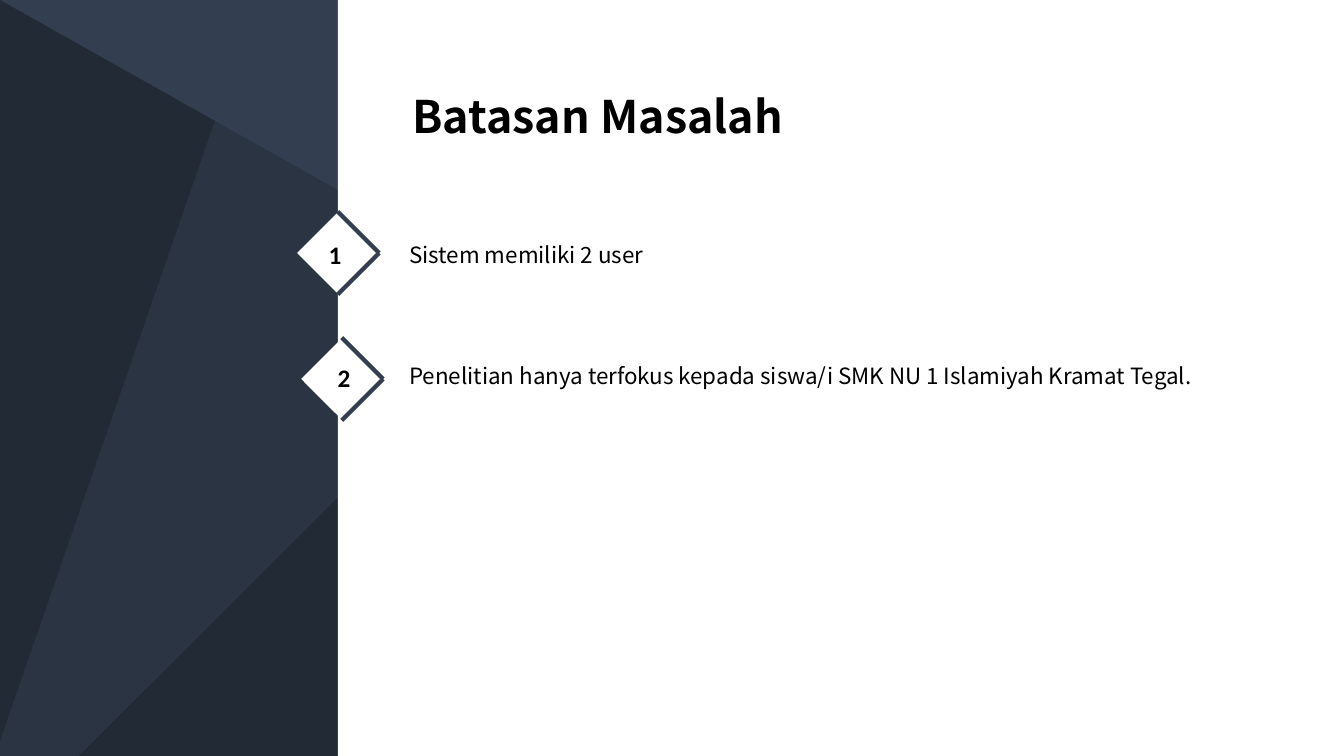
from pptx import Presentation
from pptx.dml.color import RGBColor
from pptx.enum.shapes import MSO_CONNECTOR, MSO_SHAPE
from pptx.enum.text import MSO_AUTO_SIZE
from pptx.oxml import parse_xml
from pptx.oxml.ns import nsdecls, qn
from pptx.util import Inches, Pt
from lxml.etree import SubElement

# Content
TITLE = "Batasan Masalah"
ITEMS = [  # number, text, text top, marker centre, number position
    ("1", "Sistem memiliki 2 user", 2.22, (3.35, 2.51), (3.16, 2.33)),
    ("2", "Penelitian hanya terfokus kepada siswa/i SMK NU 1 Islamiyah Kramat Tegal.",
     3.42, (3.39, 3.76), (3.25, 3.55)),
]

# Style and layout, in inches
WIDTH, HEIGHT = 13.33, 7.5
PANEL = 3.35
TEXT_LEFT, TEXT_WIDTH = 3.99, 8.25
SIDE, REACH = 0.57, 0.41
SLATE = RGBColor(0x33, 0x3F, 0x50)
NAVY = RGBColor(0x22, 0x2A, 0x35)
WHITE = RGBColor(0xFF, 0xFF, 0xFF)
BLACK = RGBColor(0, 0, 0)
SANS, DIGITS = "Noto Sans CJK SC", "Calibri"

prs = Presentation()
prs.slide_width, prs.slide_height = Inches(WIDTH), Inches(HEIGHT)
s = prs.slides.add_slide(prs.slide_layouts[6])
s.background.fill.solid()
s.background.fill.fore_color.rgb = SLATE


def add_block(shapes, kind, box, color, rotation=0, adj=None, alpha=None):
    sp = shapes.add_shape(kind, *map(Inches, box))
    sp.shadow.inherit = False
    sp.fill.solid()
    sp.fill.fore_color.rgb = color
    sp.line.fill.background()
    sp.rotation = rotation
    if adj is not None:
        sp.adjustments[0] = adj
    if alpha is not None:
        clr = sp.fill._xPr.find(qn("a:solidFill"))[0]
        SubElement(clr, qn("a:alpha"), val=str(alpha * 1000))
    return sp


def add_text(text, box, size, font=SANS, bold=False, spacing=None, insets=None):
    tf = s.shapes.add_textbox(*map(Inches, box)).text_frame
    tf.word_wrap = True
    tf.auto_size = MSO_AUTO_SIZE.SHAPE_TO_FIT_TEXT
    if insets:
        tf.margin_left = tf.margin_right = Inches(insets[0])
        tf.margin_top = tf.margin_bottom = Inches(insets[1])
    p = tf.paragraphs[0]
    if spacing:
        p.line_spacing = spacing
    r = p.add_run()
    r.text = text
    r.font.name, r.font.size, r.font.bold = font, Pt(size), bold
    r.font.color.rgb = BLACK


def add_marker(cx, cy):
    """White diamond with a slate edge on its right half."""
    shapes = s.shapes.add_group_shape().shapes
    add_block(shapes, MSO_SHAPE.RECTANGLE,
              (cx - SIDE / 2, cy - SIDE / 2, SIDE, SIDE), WHITE, rotation=45)
    corners = [(cx, cy - REACH), (cx + REACH, cy), (cx, cy + REACH)]
    for start, end in zip(corners, corners[1:]):
        c = shapes.add_connector(MSO_CONNECTOR.STRAIGHT, *map(Inches, start + end))
        c.line.color.rgb, c.line.width = SLATE, Pt(3)
        c._element.spPr.append(parse_xml("<a:effectLst %s/>" % nsdecls("a")))


# Faceted backdrop, then the white content area
add_block(s.shapes, MSO_SHAPE.ISOSCELES_TRIANGLE, (0, 0, WIDTH, HEIGHT), NAVY, adj=0)
add_block(s.shapes, MSO_SHAPE.ISOSCELES_TRIANGLE, (1.18, -1.16, 5.41, 11.12), SLATE,
          rotation=199.1, adj=1, alpha=50)
add_block(s.shapes, MSO_SHAPE.RECTANGLE, (PANEL, 0, WIDTH - PANEL, HEIGHT), WHITE)

# Title and numbered items
add_text(TITLE, (TEXT_LEFT, 0.83, 5.27, 0.64), 32, bold=True)
for number, text, top, centre, number_at in ITEMS:
    add_marker(*centre)
    add_text(text, (TEXT_LEFT, top, TEXT_WIDTH, 0.43), 16, spacing=1.5, insets=(0.07, 0.04))
    add_text(number, (*number_at, 0.42, 0.4), 18, font=DIGITS, bold=True)

prs.save("out.pptx")
